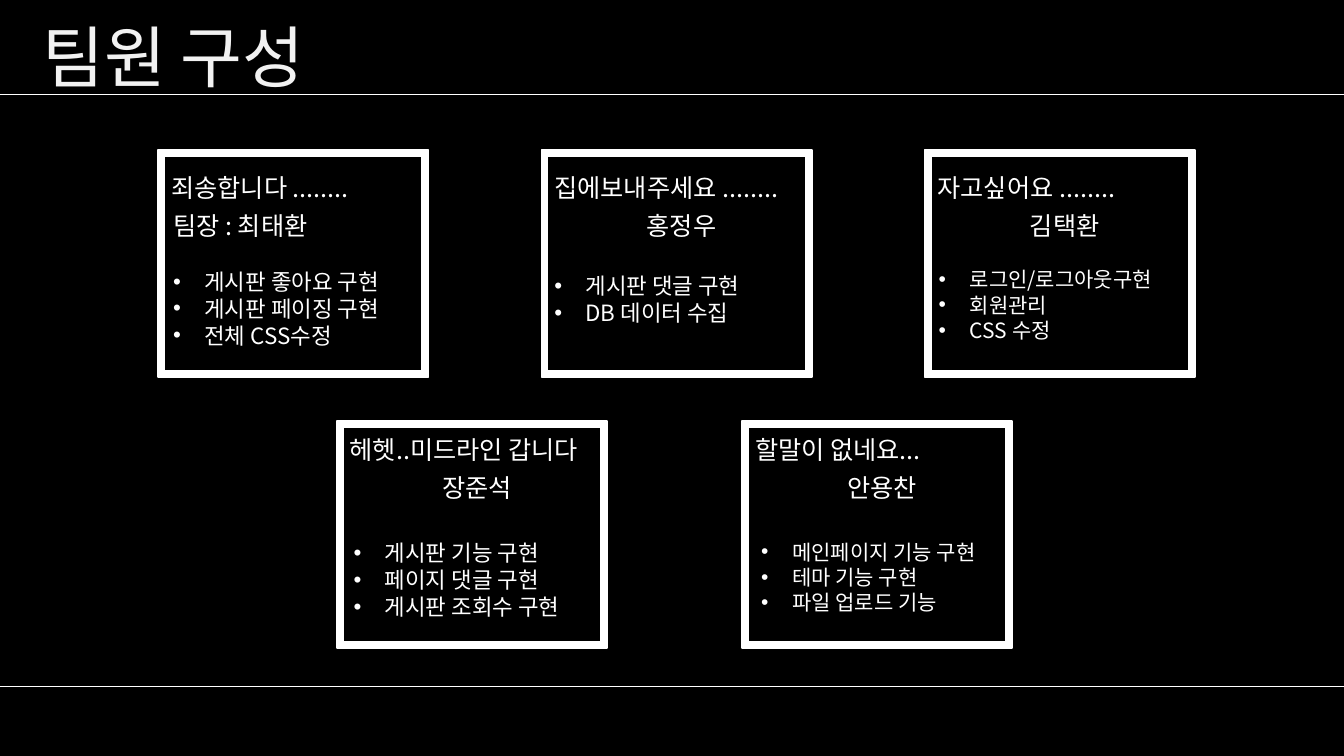
import pptx
import pptx.dml.color
import pptx.enum.shapes
import pptx.enum.text
import pptx.oxml
import pptx.oxml.ns
import pptx.util
from lxml import etree

FONT = "Noto Sans CJK KR"
WHITE = "FFFFFF"
WIDTH, HEIGHT = 13.33, 7.5
CARD_WIDTH, CARD_HEIGHT = 2.68, 2.25
LABEL_HEIGHT = 0.4
NAME_STEP = 0.38
LEFT = pptx.enum.text.PP_ALIGN.LEFT
CENTER = pptx.enum.text.PP_ALIGN.CENTER

ROWS = [
    {"left": 1.57, "top": 1.49, "pitch": 3.8, "greeting": 0.17, "duties": 1.12, "members": [
        {"greeting": "죄송합니다 ........", "name": "팀장 : 최태환", "align": LEFT,
         "duties": ["게시판 좋아요 구현", "게시판 페이징 구현", "전체 CSS수정"],
         "size": 16, "box": (0.05, 0, 2.53, 0.91)},
        {"greeting": "집에보내주세요 ........", "name": "홍정우", "align": CENTER,
         "duties": ["게시판 댓글 구현", "DB 데이터 수집"],
         "size": 16, "box": (0.03, 0.04, 2.53, 1.18)},
        {"greeting": "자고싶어요 ........", "name": "김택환", "align": CENTER,
         "duties": ["로그인/로그아웃구현", "회원관리", "CSS 수정"],
         "size": 15, "box": (0.04, -0.01, 2.55, 0.86)},
    ]},
    {"left": 3.34, "top": 4.18, "pitch": 4.02, "greeting": 0.08, "duties": 1.12, "members": [
        {"greeting": "헤헷..미드라인 갑니다", "name": "장준석", "align": CENTER,
         "duties": ["게시판 기능 구현", "페이지 댓글 구현", "게시판 조회수 구현"],
         "size": 16, "box": (0.07, 0, 2.53, 1.18)},
        {"greeting": "할말이 없네요...", "name": "안용찬", "align": CENTER,
         "duties": ["메인페이지 기능 구현", "테마 기능 구현", "파일 업로드 기능"],
         "size": 15, "box": (0.09, 0, 2.6, 1.13)},
    ]},
]


def inches(*lengths):
    return [pptx.util.Inches(length) for length in lengths]


def color(target, value):
    target.rgb = pptx.dml.color.RGBColor.from_string(value)


def paint(fill, value):
    fill.solid()
    color(fill.fore_color, value)


def apply(target, formats):
    for key, value in formats.items():
        setattr(target, key, value)


def add_bullet(paragraph):
    properties = paragraph._p.get_or_add_pPr()
    for key, value in {"marL": 0.31, "indent": -0.31}.items():
        properties.set(key, str(int(pptx.util.Inches(value))))
    for tag, key, value in (("a:buFont", "typeface", "Arial"), ("a:buChar", "char", "•")):
        etree.SubElement(properties, pptx.oxml.ns.qn(tag)).set(key, value)


def write(frame, lines, size, align=LEFT, value=WHITE, bulleted=False):
    apply(frame, {"word_wrap": True,
                  "auto_size": pptx.enum.text.MSO_AUTO_SIZE.SHAPE_TO_FIT_TEXT,
                  "vertical_anchor": pptx.enum.text.MSO_ANCHOR.TOP})
    for index, line in enumerate(lines):
        paragraph = frame.add_paragraph() if index else frame.paragraphs[0]
        paragraph.alignment = align
        if bulleted:
            add_bullet(paragraph)
        words = paragraph.add_run()
        words.text = line
        apply(words.font, {"size": pptx.util.Pt(size), "name": FONT})
        color(words.font.color, value)
        east_asian = etree.SubElement(words.font._element, pptx.oxml.ns.qn("a:ea"))
        east_asian.set("typeface", FONT)


def add_text(slide, box, lines, size, **style):
    write(slide.shapes.add_textbox(*inches(*box)).text_frame, lines, size, **style)


def add_title(slide, words):
    heading = slide.shapes.title
    apply(heading, dict(zip(("left", "top", "width", "height"), inches(0.32, 0.1, 4.54, 0.91))))
    write(heading.text_frame, [words], 48, value="F2F2F2")


def add_rule(slide, top):
    rule = slide.shapes.add_connector(
        pptx.enum.shapes.MSO_CONNECTOR.STRAIGHT, *inches(0, top, WIDTH, top))
    color(rule.line.color, WHITE)
    rule.line.width = pptx.util.Pt(0.75)
    etree.SubElement(rule._element.spPr, pptx.oxml.ns.qn("a:effectLst"))


def add_card(slide, left, row, member):
    top = row["top"]
    border = slide.shapes.add_shape(
        pptx.enum.shapes.MSO_SHAPE.FRAME, *inches(left, top, CARD_WIDTH, CARD_HEIGHT))
    border.adjustments[0] = 0.027
    border.shadow.inherit = False
    paint(border.fill, WHITE)
    color(border.line.color, WHITE)
    border.line.width = pptx.util.Pt(1.25)

    greeting_top = top + row["greeting"]
    add_text(slide, (left + 0.03, greeting_top, CARD_WIDTH, LABEL_HEIGHT),
             [member["greeting"]], 18)
    add_text(slide, (left + 0.05, greeting_top + NAME_STEP, CARD_WIDTH, LABEL_HEIGHT),
             [member["name"]], 18, align=member["align"])
    right, down, width, height = member["box"]
    add_text(slide, (left + right, top + row["duties"] + down, width, height),
             member["duties"], member["size"], bulleted=True)


def main():
    deck = pptx.Presentation()
    deck.slide_width, deck.slide_height = inches(WIDTH, HEIGHT)
    slide = deck.slides.add_slide(deck.slide_layouts[5])
    paint(slide.background.fill, "000000")
    add_title(slide, "팀원 구성")
    for top in (0.94, 6.81):
        add_rule(slide, top)
    for row in ROWS:
        for column, member in enumerate(row["members"]):
            add_card(slide, row["left"] + column * row["pitch"], row, member)
    deck.save("out.pptx")


if __name__ == "__main__":
    main()
